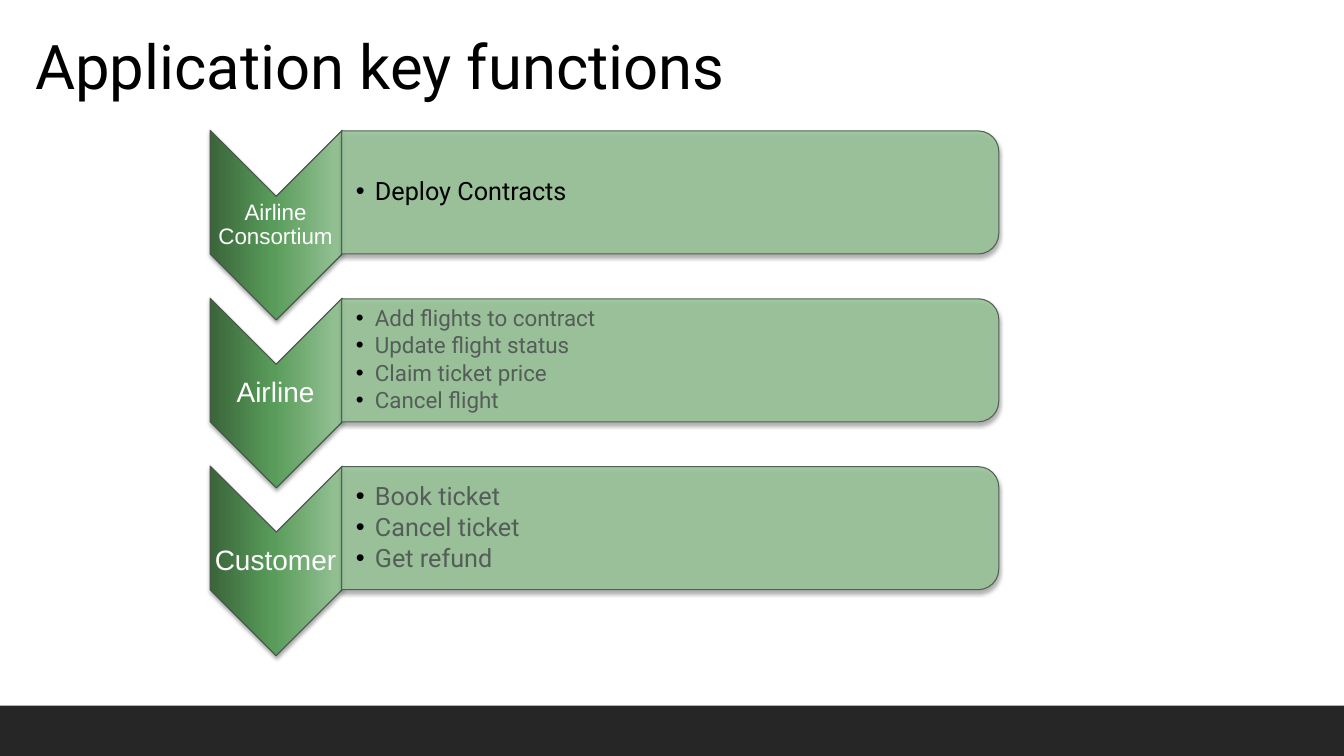
"""Build the slide on the key functions of the application."""
from lxml.etree import SubElement
from pptx import Presentation
from pptx.dml.color import RGBColor
from pptx.enum.shapes import MSO_SHAPE
from pptx.enum.text import MSO_ANCHOR, PP_ALIGN
from pptx.oxml import parse_xml
from pptx.oxml.ns import nsdecls, qn
from pptx.util import Cm, Pt

COLORS = {
    "black": "000000", "white": "FFFFFF", "bar": "262626",
    "dark": "3A653A", "mid": "599C5A", "light": "97C397",
    "edge": "4B544E", "gray": "545D57",
}
STOPS = [(0, "dark"), (48, "mid"), (100, "light")]
ROLES = [
    ("Airline Consortium", 16, 18, "black", ["Deploy Contracts"]),
    ("Airline", 20, 16, "gray", [
        "Add flights to contract", "Update flight status",
        "Claim ticket price", "Cancel flight"]),
    ("Customer", 20, 18, "gray", ["Book ticket", "Cancel ticket", "Get refund"]),
]
PITCH = 4.23


class Deck:
    def __init__(self):
        self.show = Presentation()
        self.show.slide_width = Cm(33.87)
        self.show.slide_height = Cm(19.05)
        self.slide = self.show.slides.add_slide(self.show.slide_layouts[6])

    def color(self, name):
        return RGBColor.from_string(COLORS[name])

    def shape(self, kind, box, fill):
        item = self.slide.shapes.add_shape(kind, *map(Cm, box))
        item.shadow.inherit = False
        item.fill.solid()
        item.fill.fore_color.rgb = self.color(fill)
        item.line.fill.background()
        return item

    def outline(self, item, edge):
        item.rotation = 90
        item.line.color.rgb = self.color(edge)
        item.line.width = Pt(0.75)
        effects = item._element.spPr.find(qn("a:effectLst"))
        shadow = SubElement(
            effects, qn("a:outerShdw"), blurRad=str(Pt(3.1)),
            dist=str(Pt(1.8)), dir="5400000", rotWithShape="0")
        black = SubElement(shadow, qn("a:srgbClr"), val=COLORS["black"])
        SubElement(black, qn("a:alpha"), val="34000")

    def arrow(self, box):
        item = self.shape(MSO_SHAPE.CHEVRON, box, "mid")
        item.adjustments[0] = 0.5
        self.outline(item, "edge")
        stops = "".join(
            f'<a:gs pos="{pos * 1000}"><a:srgbClr val="{COLORS[name]}"/></a:gs>'
            for pos, name in STOPS)
        blend = parse_xml(
            f'<a:gradFill {nsdecls("a")} rotWithShape="1"><a:gsLst>{stops}</a:gsLst>'
            '<a:lin ang="16200000" scaled="0"/></a:gradFill>')
        props = item._element.spPr
        props.replace(props.find(qn("a:solidFill")), blend)

    def panel(self, box):
        item = self.shape(MSO_SHAPE.ROUND_2_SAME_RECTANGLE, box, "light")
        item.adjustments[0] = 0.167
        item.adjustments[1] = 0
        self.outline(item, "gray")
        fill = item._element.spPr.find(qn("a:solidFill"))
        SubElement(fill[0], qn("a:alpha"), val="89000")

    def text(self, box, lines, size, font, color, pads, anchor=MSO_ANCHOR.MIDDLE):
        frame = self.slide.shapes.add_textbox(*map(Cm, box)).text_frame
        frame.word_wrap = True
        frame.vertical_anchor = anchor
        frame.margin_left, frame.margin_top, frame.margin_right, frame.margin_bottom = map(Cm, pads)
        frame.text = "\n".join(lines)
        for para in frame.paragraphs:
            para.line_spacing = 0.9
            for run in para.runs:
                run.font.size = Pt(size)
                run.font.name = font
                run.font.color.rgb = self.color(color)
        return frame.paragraphs

    def label(self, box, words, size):
        paras = self.text(box, [words], size, "Arial", "white", [0.03] * 4)
        paras[0].alignment = PP_ALIGN.CENTER

    def bullets(self, box, lines, size, color):
        paras = self.text(box, lines, size, "Roboto", color, [0.36, 0.03, 0.03, 0.03])
        for row, para in enumerate(paras):
            para.level = 1
            props = para._p.get_or_add_pPr()
            props.set("marL", str(Cm(0.48)))
            props.set("indent", str(Cm(-0.48)))
            if row:
                para.space_before = Pt(size * 0.15)
            tint = SubElement(props, qn("a:buClr"))
            SubElement(tint, qn("a:srgbClr"), val=COLORS["black"])
            SubElement(props, qn("a:buFont"), typeface="Arial")
            SubElement(props, qn("a:buChar"), char="•")


def main():
    deck = Deck()
    deck.shape(MSO_SHAPE.RECTANGLE, (0, 17.78, 33.87, 1.27), "bar")
    for row, (role, big, size, color, tasks) in enumerate(ROLES):
        drop = row * PITCH
        deck.arrow((4.57, 4.01 + drop, 4.78, 3.33))
        deck.label((5.28, 4.97 + drop, 3.33, 1.42), role, big)
        deck.panel((15.34, -3.43 + drop, 3.1, 16.56))
        deck.bullets((8.61, 3.45 + drop, 16.41, 2.79), tasks, size, color)
    deck.text((0.64, -1.32, 27.94, 4.04), ["Application key functions"], 44,
              "Roboto", "black", [0.25, 0.13, 0.25, 0.13], MSO_ANCHOR.BOTTOM)
    deck.show.save("out.pptx")


if __name__ == "__main__":
    main()
